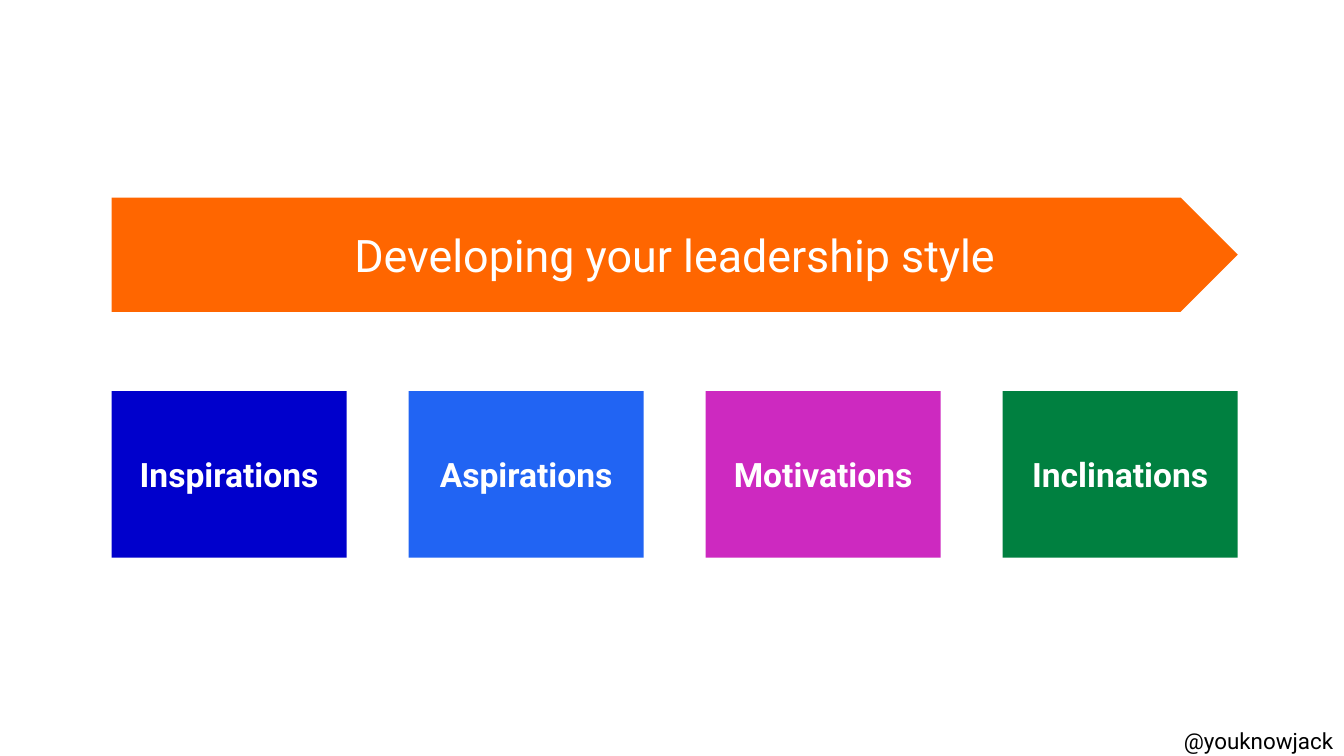
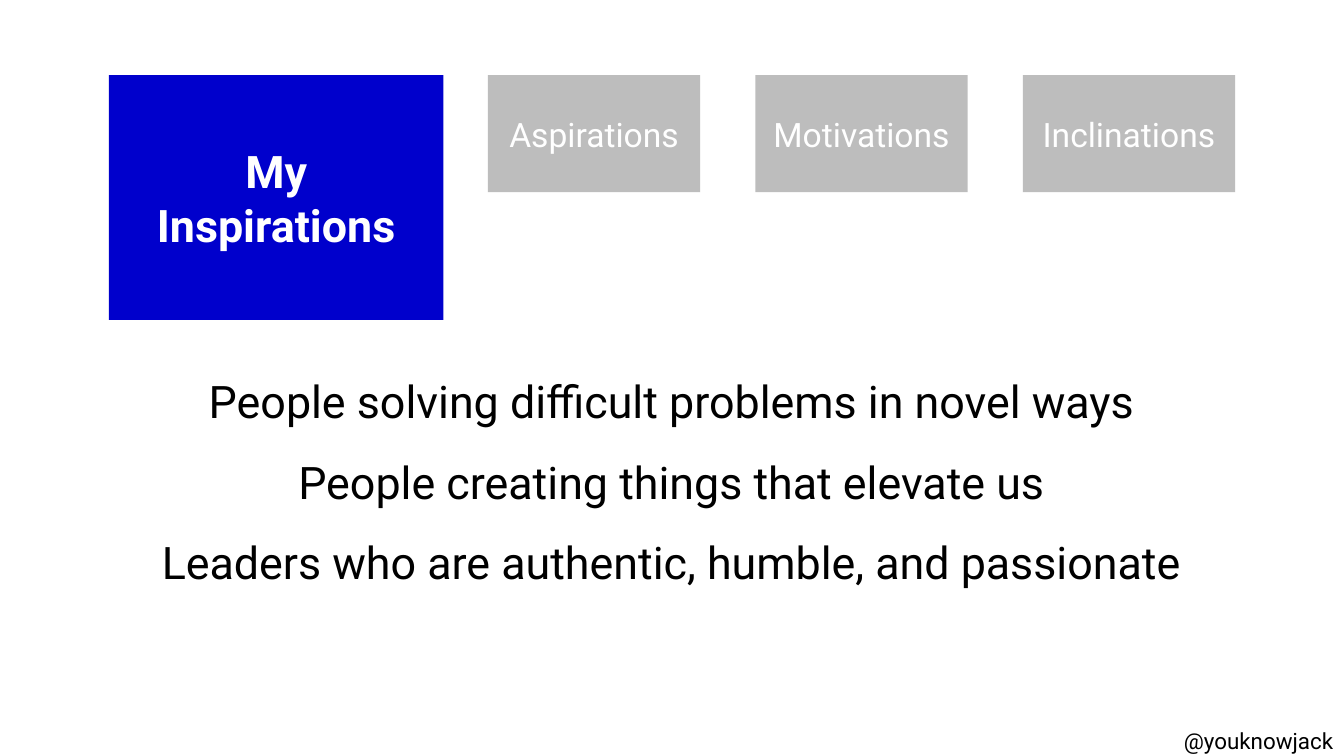
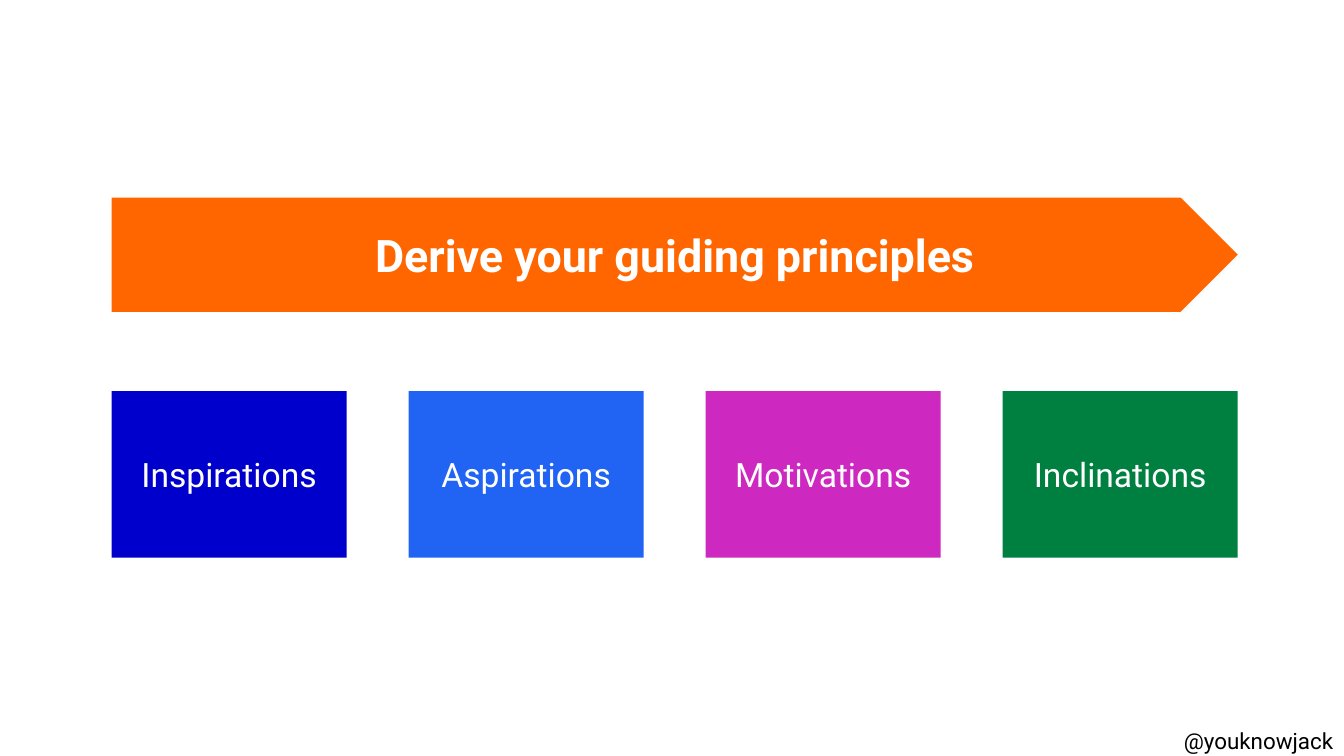
from pptx import Presentation
from pptx.dml.color import RGBColor
from pptx.enum.shapes import MSO_SHAPE
from pptx.enum.text import MSO_ANCHOR, MSO_AUTO_SIZE, PP_ALIGN
from pptx.util import Inches, Pt

# Shared style
FONT = "Roboto"
WHITE, BLACK, GREY, ORANGE = "FFFFFF", "000000", "BDBDBD", "FF6600"
THEMES = {
    "Inspirations": "0000CC",
    "Aspirations": "2164F3",
    "Motivations": "CD29C0",
    "Inclinations": "008040",
}
HANDLE = "@youknowjack"
TITLE_ONLY = 5


def rgb(hex_color):
    return RGBColor.from_string(hex_color)


def write(holder, lines, size, color=WHITE, bold=False, align=PP_ALIGN.CENTER,
          anchor=MSO_ANCHOR.MIDDLE, inset=0.1, spacing=1.0):
    """Fill a shape with one paragraph per line, all in one style."""
    frame = holder.text_frame
    frame.word_wrap = True
    frame.auto_size = MSO_AUTO_SIZE.NONE
    frame.vertical_anchor = anchor
    frame.margin_left = frame.margin_right = Inches(inset)
    frame.margin_top = frame.margin_bottom = Inches(inset)
    frame.text = "\n".join(lines)
    for paragraph in frame.paragraphs:
        paragraph.alignment = align
        paragraph.line_spacing = spacing
        paragraph.font.name = FONT
        paragraph.font.size = Pt(size)
        paragraph.font.bold = bold
        paragraph.font.color.rgb = rgb(color)


def paint(shape, color):
    shape.fill.solid()
    shape.fill.fore_color.rgb = rgb(color)
    shape.line.fill.background()


def add_block(slide, preset, box, color):
    block = slide.shapes.add_shape(preset, *map(Inches, box))
    block.shadow.inherit = False
    paint(block, color)
    return block


def add_text(slide, box, lines, size, **style):
    write(slide.shapes.add_textbox(*map(Inches, box)), lines, size, **style)


def place_title(slide, box, text, bold):
    """Move the title placeholder to the box, in front of earlier shapes."""
    title = slide.shapes.title
    title.left, title.top, title.width, title.height = map(Inches, box)
    write(title, [text], 24, bold=bold)
    slide.shapes._spTree.append(title._element)
    return title


def theme_row(slide, box, tile_width, themes, bold=False):
    """Spread equal tiles over the full width of the box."""
    left, top, width, height = box
    pitch = (width - tile_width) / (len(themes) - 1)
    for index, (theme, color) in enumerate(themes.items()):
        tile_box = (left + index * pitch, top, tile_width, height)
        write(add_block(slide, MSO_SHAPE.RECTANGLE, tile_box, color),
              [theme], 18, bold=bold)


def banner(slide, box, text, bold):
    """Arrow band with the slide title centred inside it."""
    left, top, width, height = box
    add_block(slide, MSO_SHAPE.PENTAGON, box, ORANGE)
    side = 0.59
    place_title(slide, (left + side, top, width - 2 * side, height), text, bold)


def handle_footer(slide):
    add_text(slide, (8.38, 5.47, 1.64, 0.24), [HANDLE], 12, color=BLACK,
             align=PP_ALIGN.RIGHT, anchor=MSO_ANCHOR.BOTTOM)


def new_slide(prs):
    slide = prs.slides.add_slide(prs.slide_layouts[TITLE_ONLY])
    slide.background.fill.solid()
    slide.background.fill.fore_color.rgb = rgb(WHITE)
    return slide


def overview_slide(prs, headline, headline_bold, themes_bold):
    slide = new_slide(prs)
    theme_row(slide, (0.83, 2.91, 8.38, 1.24), 1.75, THEMES, themes_bold)
    banner(slide, (0.83, 1.47, 8.38, 0.85), headline, headline_bold)
    handle_footer(slide)


def focus_slide(prs, focus, title, statements):
    """One theme enlarged as the title, the others greyed out beside it."""
    slide = new_slide(prs)
    others = {theme: GREY for theme in THEMES if theme != focus}
    theme_row(slide, (3.63, 0.56, 5.56, 0.87), 1.58, others)
    paint(place_title(slide, (0.81, 0.56, 2.49, 1.82), title, True), THEMES[focus])
    add_text(slide, (0.42, 2.67, 9.15, 1.62), statements, 24, color=BLACK,
             inset=0, spacing=1.5)
    handle_footer(slide)


def main():
    prs = Presentation()
    # 16:9 page
    prs.slide_width = Inches(10)
    prs.slide_height = Inches(10 * 9 / 16)
    overview_slide(prs, "Developing your leadership style",
                   headline_bold=False, themes_bold=True)
    focus_slide(prs, "Inspirations", "My\vInspirations", [
        "People solving difficult problems in novel ways",
        "People creating things that elevate us",
        "Leaders who are authentic, humble, and passionate",
    ])
    overview_slide(prs, "Derive your guiding principles",
                   headline_bold=True, themes_bold=False)
    prs.save("out.pptx")


if __name__ == "__main__":
    main()
